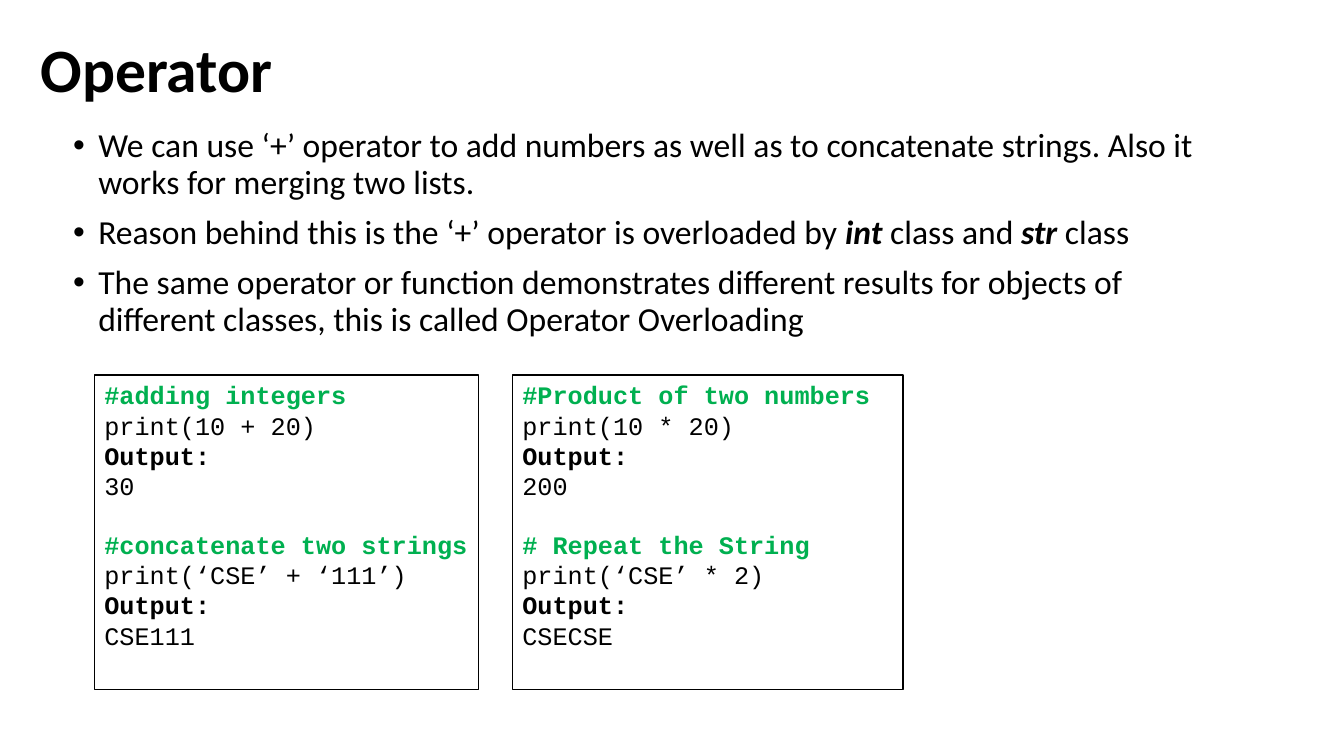
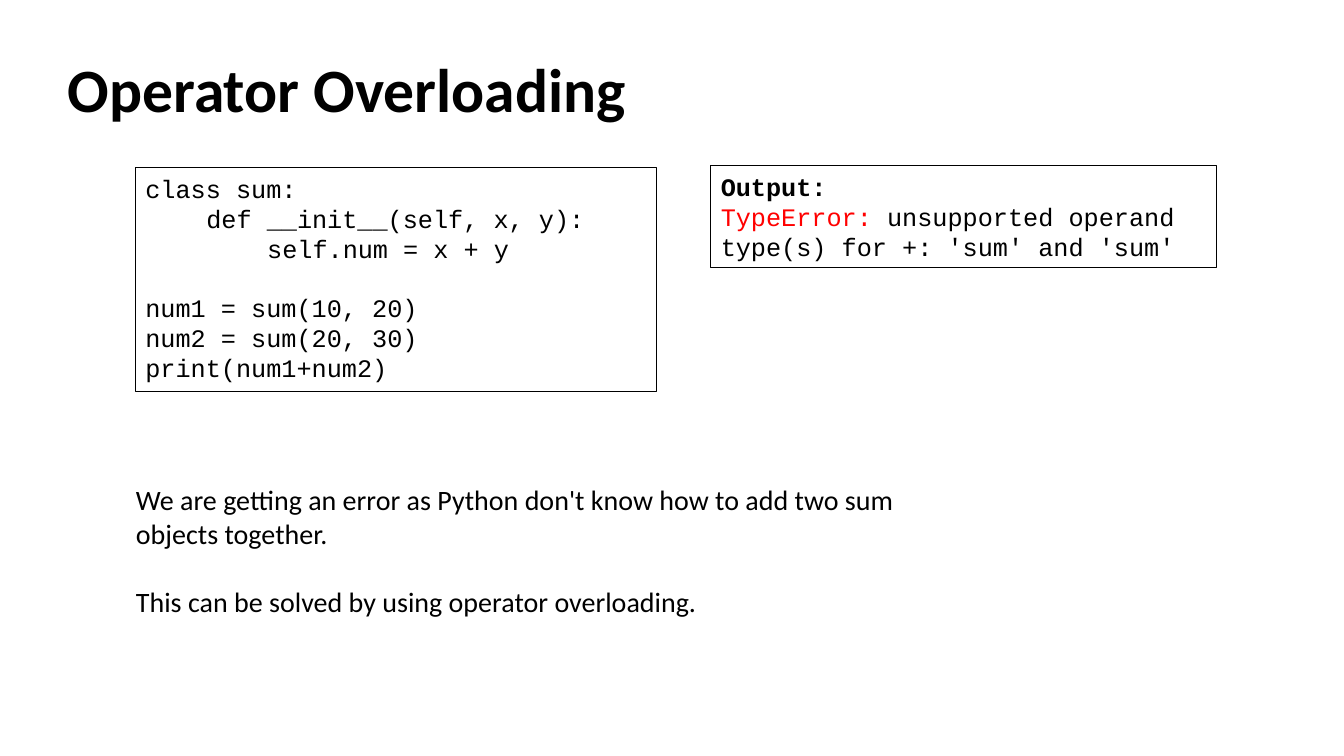
import pptx
import pptx.dml.color
import pptx.enum.shapes
import pptx.enum.text
import pptx.oxml
import pptx.oxml.ns
import pptx.util

PX = 9525
BLACK, WHITE, GREEN, RED = "000000", "FFFFFF", "00B050", "FF0000"
SANS, MONO = "Calibri", "Courier New"
TITLE_SIZE = 44
CODE_SIZE, CODE_LINE = 18, 20.4
CODE_INDENT = 58
BULLET_INDENT = 24
TITLE_LAYOUT, CONTENT_LAYOUT = 5, 1


def px(length):
    """Turn pixels into EMU."""
    return pptx.util.Emu(length * PX)


def color(hex_code):
    """Turn a hex string into a colour."""
    return pptx.dml.color.RGBColor.from_string(hex_code)


def style_font(font, name, size, hex_code=BLACK, bold=False):
    """Set the basic look of a font."""
    font.name, font.size, font.bold = name, pptx.util.Pt(size), bold
    font.color.rgb = color(hex_code)


def place(box, left, top, width, height):
    """Move and resize a box."""
    box.left, box.top, box.width, box.height = map(px, (left, top, width, height))


def prepare(frame, anchor=pptx.enum.text.MSO_ANCHOR.TOP):
    """Set wrapping, anchor and margins of a text frame."""
    frame.word_wrap = True
    frame.auto_size = pptx.enum.text.MSO_AUTO_SIZE.NONE
    frame.vertical_anchor = anchor
    frame.margin_left = frame.margin_right = pptx.util.Inches(0.1)
    frame.margin_top = frame.margin_bottom = pptx.util.Inches(0.05)


def add_paragraph(frame, index, before=0, spacing=1.0):
    """Return the paragraph at an index, left aligned and spaced."""
    paragraph = frame.add_paragraph() if index else frame.paragraphs[0]
    paragraph.alignment = pptx.enum.text.PP_ALIGN.LEFT
    paragraph.space_before = pptx.util.Pt(before)
    paragraph.line_spacing = spacing
    return paragraph


def indent(paragraph, margin, first_line=0):
    """Set the left margin and first line offset of a paragraph."""
    properties = paragraph._p.get_or_add_pPr()
    properties.set("marL", str(px(margin)))
    properties.set("indent", str(px(first_line)))
    return properties


def add_bullet(paragraph):
    """Give a paragraph a black round bullet with a hanging indent."""
    properties = indent(paragraph, BULLET_INDENT, -BULLET_INDENT)
    namespace = pptx.oxml.ns.nsdecls("a")
    for bullet in (
        f'<a:buClr {namespace}><a:srgbClr val="{BLACK}"/></a:buClr>',
        f'<a:buFont {namespace} typeface="Arial"/>',
        f'<a:buChar {namespace} char="•"/>',
    ):
        properties.append(pptx.oxml.parse_xml(bullet))


def add_slide(deck, layout, title, left, top):
    """Add a slide with a bold left-aligned title."""
    slide = deck.slides.add_slide(deck.slide_layouts[layout])
    heading = slide.shapes.title
    place(heading, left, top, 1104, 139)
    prepare(heading.text_frame, pptx.enum.text.MSO_ANCHOR.MIDDLE)
    paragraph = add_paragraph(heading.text_frame, 0, spacing=0.9)
    paragraph.text = title
    style_font(paragraph.font, SANS, TITLE_SIZE, bold=True)
    return slide


def fill_bullets(body, bullets):
    """Write bullets; every second part of a bullet is a class name."""
    prepare(body.text_frame)
    for index, parts in enumerate(bullets):
        paragraph = add_paragraph(body.text_frame, index, 10 if index else 0, 0.9)
        add_bullet(paragraph)
        style_font(paragraph.font, SANS, 24)
        for position, part in enumerate(parts):
            run = paragraph.add_run()
            run.text = part
            if position % 2:
                run.font.bold = run.font.italic = True


def add_code(slide, area, blocks, line_width, fill=None):
    """Add a framed code box; blocks are set apart by one line."""
    box = slide.shapes.add_shape(pptx.enum.shapes.MSO_SHAPE.RECTANGLE, *map(px, area))
    box.shadow.inherit = False
    if fill:
        box.fill.solid()
        box.fill.fore_color.rgb = color(fill)
    else:
        box.fill.background()
    box.line.color.rgb = color(BLACK)
    box.line.width = pptx.util.Pt(line_width)
    prepare(box.text_frame)
    index = 0
    for block in blocks:
        for row, line in enumerate(block):
            gap = CODE_LINE if index and not row else 0
            write_code_line(add_paragraph(box.text_frame, index, gap), line)
            index += 1


def write_code_line(paragraph, line):
    """Write a code line, coloured by its meaning and indented by its tabs."""
    code = line.lstrip("\t")
    indent(paragraph, CODE_INDENT * (len(line) - len(code)))
    comment = code.startswith("#")
    style_font(paragraph.font, MONO, CODE_SIZE, GREEN if comment else BLACK,
               comment or code == "Output:")
    error, mark, message = code.partition("Error: ")
    if mark:
        label = paragraph.add_run()
        label.text = error + mark
        label.font.color.rgb = color(RED)
        code = message
    paragraph.add_run().text = code


def add_note(slide, area, sentences):
    """Add plain sentences set apart by one line."""
    frame = slide.shapes.add_textbox(*map(px, area)).text_frame
    prepare(frame)
    for index, sentence in enumerate(sentences):
        paragraph = add_paragraph(frame, index, 24.4 if index else 0)
        paragraph.text = sentence
        style_font(paragraph.font, SANS, 20)


def build_operator(deck):
    """Build the slide on what the operators do."""
    slide = add_slide(deck, CONTENT_LAYOUT, "Operator", 29, 0)
    body = slide.placeholders[1]
    place(body, 60, 118, 1104, 368)
    fill_bullets(body, [
        ["We can use ‘+’ operator to add numbers as well as to concatenate strings. "
         "Also it works for merging two lists."],
        ["Reason behind this is the ‘+’ operator is overloaded by ", "int",
         " class and ", "str", " class"],
        ["The same operator or function demonstrates different results for objects "
         "of different classes, this is called Operator Overloading"],
    ])
    add_code(slide, (90, 357, 366, 300), [
        ["#adding integers", "print(10 + 20)", "Output:", "30"],
        ["#concatenate two strings", "print(‘CSE’ + ‘111’)", "Output:", "CSE111"],
    ], 1, WHITE)
    add_code(slide, (488, 357, 372, 300), [
        ["#Product of two numbers", "print(10 * 20)", "Output:", "200"],
        ["# Repeat the String", "print(‘CSE’ * 2)", "Output:", "CSECSE"],
    ], 1, WHITE)


def build_overloading(deck):
    """Build the slide on the error that overloading solves."""
    slide = add_slide(deck, TITLE_LAYOUT, "Operator Overloading", 55, 19)
    add_code(slide, (129, 160, 496, 213), [
        ["class sum:", "\tdef __init__(self, x, y):", "\t\tself.num = x + y"],
        ["num1 = sum(10, 20)", "num2 = sum(20, 30)", "print(num1+num2)"],
    ], 0.75)
    add_code(slide, (677, 158, 482, 97), [
        ["Output:", "TypeError: unsupported operand type(s) for +: 'sum' and 'sum'"],
    ], 0.75)
    add_note(slide, (120, 455, 744, 168), [
        "We are getting an error as Python don't know how to add two sum objects together.",
        "This can be solved by using operator overloading.",
    ])


def main():
    """Build and save the deck."""
    deck = pptx.Presentation()
    deck.slide_width, deck.slide_height = px(1280), px(720)
    build_operator(deck)
    build_overloading(deck)
    deck.save("out.pptx")


if __name__ == "__main__":
    main()
